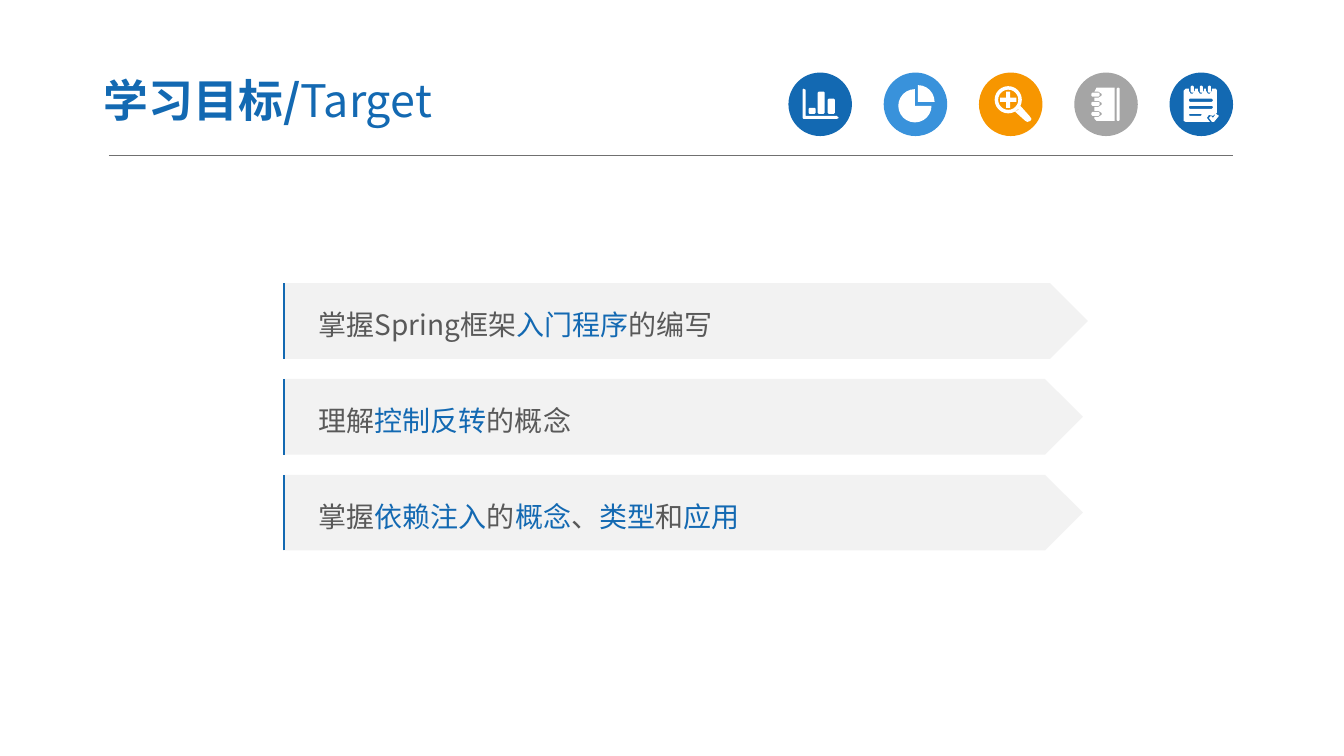
from math import cos, radians, sin

from pptx import Presentation
from pptx import util as u
from pptx.dml.color import RGBColor
from pptx.enum import shapes, text
from pptx.oxml.ns import qn
from lxml import etree

FONT = "Noto Sans CJK SC"
HUES = {"blue": "1369B2", "sky": "3992DB", "gold": "F79600", "ash": "A5A5A5",
        "white": "FFFFFF", "pale": "F2F2F2", "ink": "595959", "rule": "707070"}
KIND = shapes.MSO_SHAPE
GOALS = [("掌握Spring框架|入门程序|的编写", 7.98),
         ("理解|控制反转|的概念", 7.93),
         ("掌握|依赖注入|的|概念|、|类型|和|应用", 7.93)]


def bar(left, top, wide, high, cut=.01):
    """Outline a bar with trimmed corners."""
    right, low = left + wide, top + high
    return [(left + cut, top), (right - cut, top), (right, top + cut), (right, low - cut),
            (right - cut, low), (left + cut, low), (left, low - cut), (left, top + cut)]


def arc(x, y, size, start=0, end=345, step=15):
    """Outline an arc, clockwise from the right."""
    turns = [radians(a) for a in range(start, end + 1, step)]
    return [(x + size * cos(a), y + size * sin(a)) for a in turns]


def chart():
    """Outline the axes and three bars."""
    axes = [(.14, .17), (.15, .16), (.17, .17), (.17, .43), (.48, .43),
            (.5, .45), (.48, .46), (.15, .46), (.14, .45)]
    return [axes, bar(.2, .35, .07, .06), bar(.29, .19, .07, .22), bar(.39, .26, .07, .15)]


def pie():
    """Outline the pie and its loose quarter."""
    return [[(.31, .33)] + arc(.31, .33, .165, 0, 270),
            [(.34, .29)] + arc(.34, .29, .165, 270, 360)]


def lens():
    """Outline the magnifier with a plus sign."""
    x, y, long, thin = .29, .27, .08, .02
    plus = [(x + dx, y + dy) for dx, dy in (
        (-thin, -long), (thin, -long), (thin, -thin), (long, -thin),
        (long, thin), (thin, thin), (thin, long), (-thin, long),
        (-thin, thin), (-long, thin), (-long, -thin), (-thin, -thin))]
    grip = [(.41, .33), (.5, .43), (.52, .46), (.51, .48), (.48, .49),
            (.46, .48), (.36, .39), (.39, .37)]
    return [arc(x, y, .135), arc(x, y, .1), plus, grip]


def book():
    """Outline the ring-bound notebook."""
    mids = (.22, .31, .41)
    body = [(.22, .15), (.4, .15), (.4, .48), (.22, .48), (.2, .46)]
    for mid in reversed(mids):
        body += [(.2, mid + .03), (.24, mid + .03), (.27, mid + .01),
                 (.27, mid - .01), (.24, mid - .03), (.2, mid - .03)]
    return [body, bar(.42, .15, .03, .33)] + [bar(.17, mid - .02, .08, .04) for mid in mids]


def memo():
    """Outline the checklist with rings, lines and a tick."""
    mids = (.22, .31, .39)
    body = [(.14, .18), (.16, .16)]
    for mid in mids:
        body += [(mid - .03, .16), (mid - .03, .18), (mid - .01, .21),
                 (mid + .01, .21), (mid + .03, .18), (mid + .03, .16)]
    body += [(.46, .16), (.47, .18), (.47, .4), (.43, .43), (.39, .42),
             (.37, .45), (.4, .49), (.16, .49), (.14, .48)]
    tick = [(.39, .45), (.41, .43), (.43, .45), (.46, .41), (.49, .43), (.44, .49), (.42, .49)]
    rows = [(.26, .24, .03), (.33, .24, .03), (.41, .13, .02)]
    return ([body, tick] + [bar(.19, top, wide, high) for top, wide, high in rows]
            + [bar(mid - .01, .13, .03, .07) for mid in mids])


ICONS = [("blue", chart), ("sky", pie), ("gold", lens), ("ash", book), ("blue", memo)]


def hue(name):
    """Return the named colour."""
    return RGBColor.from_string(HUES[name])


def paint(shape, name):
    """Give a shape a flat fill without line or shadow."""
    shape.shadow.inherit = False
    shape.fill.solid()
    shape.fill.fore_color.rgb = hue(name)
    shape.line.fill.background()


def put(slide, kind, left, top, wide, high, name):
    """Add a flat preset shape."""
    shape = slide.shapes.add_shape(kind, *map(u.Inches, (left, top, wide, high)))
    paint(shape, name)
    return shape


def style(run, size, name, bold=False):
    """Set a run's font for Latin and East Asian text."""
    font = run.font
    font.name, font.size, font.bold = FONT, u.Pt(size), bold
    font.color.rgb = hue(name)
    face = etree.Element(qn("a:ea"), typeface=FONT)
    run._r.rPr.find(qn("a:latin")).addnext(face)


def write(para, parts, size, names, bolds):
    """Add one styled run for each part."""
    for part, name, bold in zip(parts, names, bolds):
        run = para.add_run()
        run.text = part
        style(run, size, name, bold)


def title(slide, left, top, wide, high):
    """Place the heading in the title placeholder."""
    head = slide.shapes.title
    head.left, head.top, head.width, head.height = map(u.Inches, (left, top, wide, high))
    frame = head.text_frame
    frame.auto_size = text.MSO_AUTO_SIZE.NONE
    frame.vertical_anchor = text.MSO_ANCHOR.MIDDLE
    frame.margin_left = frame.margin_right = u.Inches(.13)
    frame.margin_top = frame.margin_bottom = u.Inches(.07)
    para = frame.paragraphs[0]
    para.alignment = text.PP_ALIGN.LEFT
    write(para, ["学习目标/", "Target"], 32, ["blue"] * 2, [True, False])


def icon(slide, left, top, size, name, draw):
    """Draw a coloured disc with its white symbol."""
    put(slide, KIND.OVAL, left, top, size, size, name)
    loops = [[(u.Inches(left + x), u.Inches(top + y)) for x, y in loop] for loop in draw()]
    path = slide.shapes.build_freeform(*loops[0][0])
    for i, loop in enumerate(loops):
        if i:
            path.move_to(*loop[0])
        path.add_line_segments(loop[1:], close=True)
    paint(path.convert_to_shape(), "white")


def header(slide, left, top, wide):
    """Place the heading, the row of icons and the rule below."""
    title(slide, left - .18, top, 5.22, .72)
    size, step = .63, .945
    first = left + wide - size - step * (len(ICONS) - 1)
    for i, (name, draw) in enumerate(ICONS):
        icon(slide, first + i * step, top + .09, size, name, draw)
    ends = map(u.Inches, (left, top + .91, left + wide, top + .91))
    line = slide.shapes.add_connector(shapes.MSO_CONNECTOR.STRAIGHT, *ends)
    line.line.color.rgb = hue("rule")
    line.line.width = u.Pt(.5)
    etree.SubElement(line._element.spPr, qn("a:effectLst"))


def edge(slide, left, top, wide, high):
    """Draw the blue stroke on the left side of an open outline."""
    x, y = u.Inches(left), u.Inches(top)
    path = slide.shapes.build_freeform(x, y + u.Inches(high))
    path.add_line_segments([(x, y)], close=False)
    path.move_to(x + u.Inches(wide), y)
    shape = path.convert_to_shape()
    shape.shadow.inherit = False
    shape.fill.background()
    shape.line.color.rgb = hue("blue")
    shape.line.width = u.Pt(1.5)


def goal(slide, left, top, wide, high, words):
    """Draw one goal banner; every second part of its words is blue."""
    plate = put(slide, KIND.PENTAGON, left, top, wide, high, "pale")
    frame = plate.text_frame
    frame.vertical_anchor = text.MSO_ANCHOR.MIDDLE
    frame.margin_left = u.Inches(.35)
    para = frame.paragraphs[0]
    para.alignment = text.PP_ALIGN.LEFT
    para.line_spacing = 1.2
    parts = words.split("|")
    names = [("ink", "blue")[i % 2] for i in range(len(parts))]
    write(para, parts, 20, names, [False] * len(parts))
    edge(slide, left + .01, top, .12, high)


def goals(slide, left, top, step):
    """Stack the goal banners."""
    for i, (words, wide) in enumerate(GOALS):
        goal(slide, left, top + i * step, wide, .75, words)


deck = Presentation()
deck.slide_width, deck.slide_height = u.Inches(13.33), u.Inches(7.5)
page = deck.slides.add_slide(deck.slide_layouts[5])
header(page, 1.08, .63, 11.15)
goals(page, 2.81, 2.81, .95)
deck.save("out.pptx")
